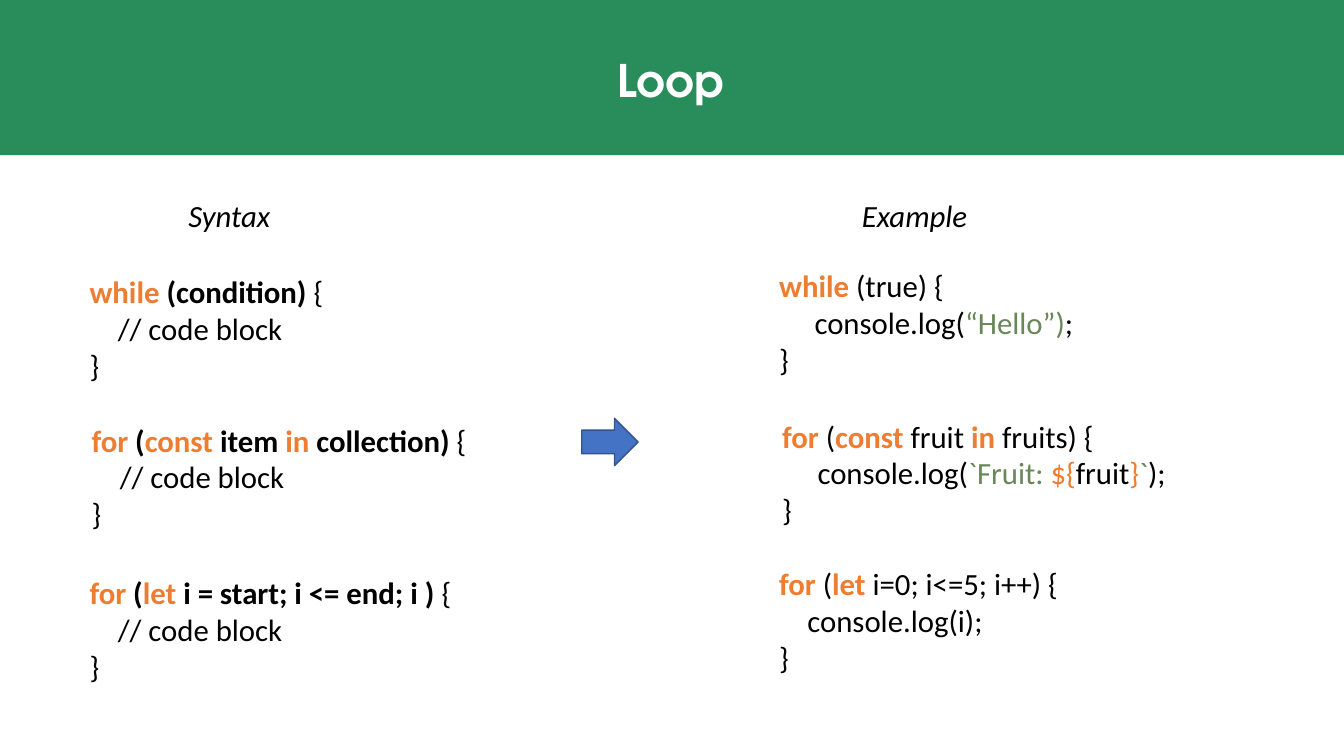
from dataclasses import dataclass

import pptx
import pptx.dml.color
import pptx.enum.shapes
import pptx.enum.text
import pptx.util

EMU_PER_PX = 9144  # 100 px to the inch


@dataclass(frozen=True)
class Theme:
    green: str = "288D5B"
    white: str = "FFFFFF"
    black: str = "000000"
    keyword: str = "ED7D31"
    string: str = "6A8759"
    arrow: str = "4472C4"
    arrow_line: str = "31538F"
    title_font: str = "TeX Gyre Adventor"
    body_font: str = "Calibri"
    title_size: int = 32
    body_size: int = 22


THEME = Theme()


@dataclass(frozen=True)
class Run:
    text: str
    color: str = THEME.black
    bold: bool = False
    italic: bool = False
    font: str = THEME.body_font
    size: int = THEME.body_size


@dataclass(frozen=True)
class Box:
    x: int
    y: int
    w: int
    h: int


@dataclass(frozen=True)
class CodeBlock:
    box: Box
    head: list[Run]
    body: list[Run]
    indent: int


def px(n: int) -> pptx.util.Emu:
    return pptx.util.Emu(n * EMU_PER_PX)


def rgb(color: str) -> pptx.dml.color.RGBColor:
    return pptx.dml.color.RGBColor.from_string(color)


def keyword(text: str) -> Run:
    return Run(text, THEME.keyword, bold=True)


def strong(text: str) -> Run:
    return Run(text, bold=True)


def string(text: str) -> Run:
    return Run(text, THEME.string)


def add_shape(s, kind, box: Box, fill: str, line: str | None = None):
    sp = s.shapes.add_shape(kind, px(box.x), px(box.y), px(box.w), px(box.h))
    sp.shadow.inherit = False
    sp.fill.solid()
    sp.fill.fore_color.rgb = rgb(fill)
    if line:
        sp.line.color.rgb = rgb(line)
        sp.line.width = pptx.util.Pt(1)
    else:
        sp.line.fill.background()
    return sp


def add_text(s, box: Box, lines: list[list[Run]]):
    """Add a text box with one paragraph per line and return its frame."""
    sp = s.shapes.add_textbox(px(box.x), px(box.y), px(box.w), px(box.h))
    tf = sp.text_frame
    tf.word_wrap = True
    for i, line in enumerate(lines):
        p = tf.paragraphs[0] if i == 0 else tf.add_paragraph()
        for run in line:
            r = p.add_run()
            r.text = run.text
            r.font.name = run.font
            r.font.size = pptx.util.Pt(run.size)
            r.font.bold = run.bold
            r.font.italic = run.italic
            r.font.color.rgb = rgb(run.color)
    return tf


def add_code(s, block: CodeBlock) -> None:
    """Add a loop: its head, an indented body line and a closing brace."""
    tf = add_text(s, block.box, [block.head, block.body, [Run("}")]])
    pPr = tf.paragraphs[1]._p.get_or_add_pPr()
    pPr.set("marL", str(px(block.indent)))
    pPr.set("indent", "0")


def add_title(s, text: str) -> None:
    run = Run(text, THEME.white, bold=True, font=THEME.title_font, size=THEME.title_size)
    tf = add_text(s, Box(26, 27, 1278, 110), [[run]])
    tf.vertical_anchor = pptx.enum.text.MSO_ANCHOR.MIDDLE
    p = tf.paragraphs[0]
    p.alignment = pptx.enum.text.PP_ALIGN.CENTER
    p.line_spacing = 0.9


COMMENT = [Run("// code block")]

HEADINGS = [
    (Box(177, 190, 102, 47), "Syntax"),
    (Box(845, 190, 126, 47), "Example"),
]

CODE_BLOCKS = [
    CodeBlock(
        Box(79, 266, 425, 121),
        [keyword("while"), strong(" (condition) "), Run("{")],
        COMMENT, 28),
    CodeBlock(
        Box(81, 413, 424, 121),
        [keyword("for"), strong(" ("), keyword("const"), strong(" item "),
         keyword("in"), strong(" collection) "), Run("{")],
        COMMENT, 28),
    CodeBlock(
        Box(79, 564, 425, 121),
        [keyword("for"), strong(" ("), keyword("let "),
         strong("i = start; i <= end; i ) "), Run("{")],
        COMMENT, 28),
    CodeBlock(
        Box(763, 260, 462, 121),
        [keyword("while "), Run("(true) {")],
        [Run("console.log("), string("“Hello”)"), Run(";")], 35),
    CodeBlock(
        Box(766, 409, 462, 121),
        [keyword("for "), Run("("), keyword("const"), Run(" fruit "),
         keyword("in "), Run("fruits) {")],
        [Run("console.log("), string("`Fruit: "), Run("${", THEME.keyword),
         Run("fruit"), Run("}", THEME.keyword), string("`"), Run(");")], 35),
    CodeBlock(
        Box(763, 555, 464, 121),
        [keyword("for"), Run(" ("), keyword("let "), Run("i=0; i<=5; i++) {")],
        [Run("console.log(i);")], 28),
]


def main() -> None:
    shapes = pptx.enum.shapes.MSO_SHAPE
    prs = pptx.Presentation()
    prs.slide_width, prs.slide_height = px(1333), px(750)
    s = prs.slides.add_slide(prs.slide_layouts[6])

    add_shape(s, shapes.RECTANGLE, Box(0, 0, 1333, 154), THEME.green)
    add_title(s, "Loop")
    for box, text in HEADINGS:
        add_text(s, box, [[Run(text, italic=True)]])
    for block in CODE_BLOCKS:
        add_code(s, block)
    add_shape(s, shapes.RIGHT_ARROW, Box(577, 415, 56, 47), THEME.arrow, THEME.arrow_line)

    prs.save("out.pptx")


if __name__ == "__main__":
    main()
